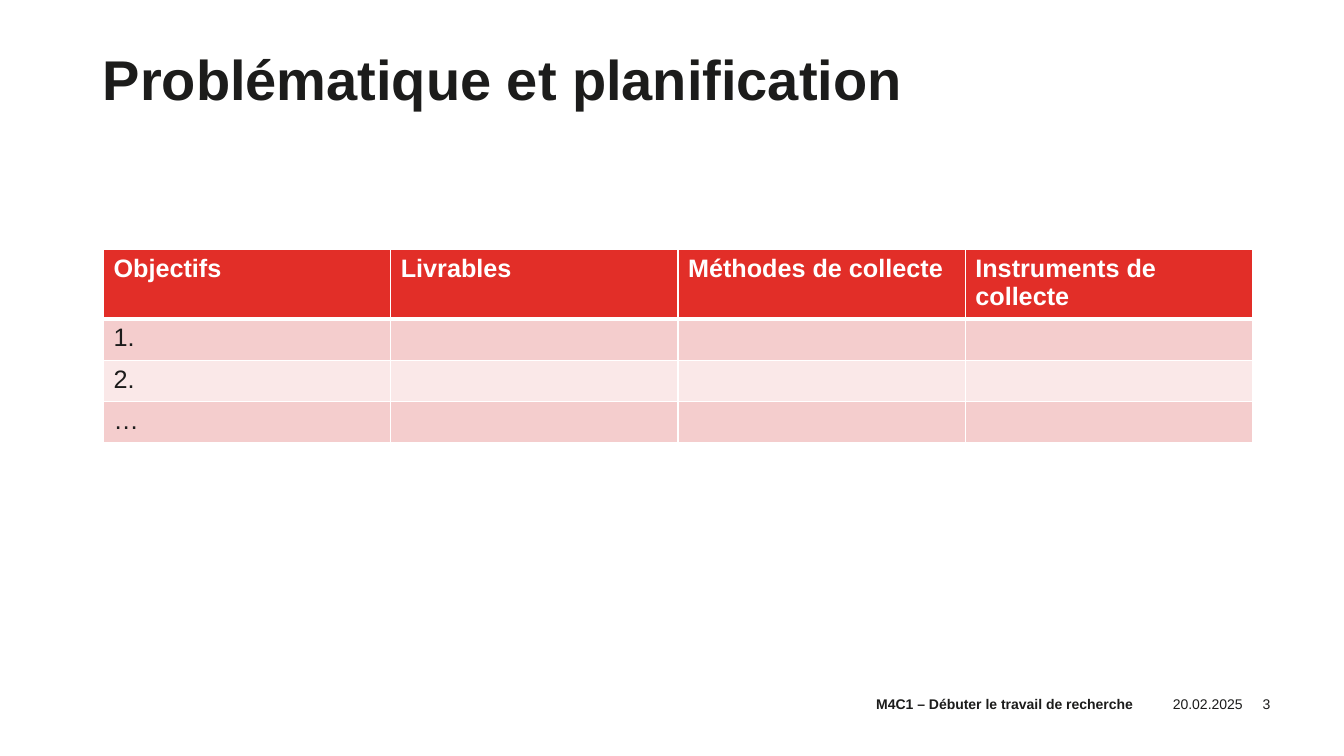
from lxml import etree
from pptx import Presentation
from pptx import util as u
from pptx.dml.color import RGBColor
from pptx.enum import text
from pptx.oxml.ns import qn

WIDTH, HEIGHT = 13.33, 7.5
FONT = "Arial"
COLORS = {"ink": "1C1C1B", "white": "FFFFFF", "header": "E22E28",
          "band_dark": "F4CDCD", "band_light": "FAE8E8"}
PLAN = [["Objectifs", "Livrables", "Méthodes de collecte", "Instruments de collecte"],
        ["1.", "", "", ""],
        ["2.", "", "", ""],
        ["…", "", "", ""]]
HEADER_HEIGHT, ROW_HEIGHT = 0.69, 0.41


def rgb(name):
    return RGBColor.from_string(COLORS[name])


def set_font(font, size, color="ink", bold=False):
    for attribute, value in {"name": FONT, "size": u.Pt(size), "bold": bold}.items():
        setattr(font, attribute, value)
    font.color.rgb = rgb(color)


def place(shape, box):
    for side, length in zip(("left", "top", "width", "height"), box):
        setattr(shape, side, u.Inches(length))


def write_line(frame, words, size, bold, anchor, align):
    frame.word_wrap = True
    frame.auto_size = text.MSO_AUTO_SIZE.NONE
    frame.vertical_anchor = anchor
    line = frame.paragraphs[0]
    for attribute, value in {"text": words, "alignment": align, "line_spacing": 0.9}.items():
        setattr(line, attribute, value)
    set_font(line.runs[0].font, size, bold=bold)


def border_cell(cell, bottom_width):
    properties = cell._tc.get_or_add_tcPr()
    widths = {"lnL": 1, "lnR": 1, "lnT": 1, "lnB": bottom_width}
    for position, (side, width) in enumerate(widths.items()):
        edge = etree.Element(qn("a:" + side), w=str(u.Pt(width)))
        fill = etree.SubElement(edge, qn("a:solidFill"))
        etree.SubElement(fill, qn("a:srgbClr"), val=COLORS["white"])
        properties.insert(position, edge)


# Heading
def add_heading(slide, box, words):
    heading = slide.shapes.title
    place(heading, box)
    write_line(heading.text_frame, words, 40, True,
               text.MSO_ANCHOR.BOTTOM, text.PP_ALIGN.LEFT)


# Planning table: one header row, then banded rows
def add_plan(slide, box):
    left, top, width, height = (u.Inches(length) for length in box)
    plan = slide.shapes.add_table(len(PLAN), len(PLAN[0]), left, top, width, height).table
    for column in plan.columns:
        column.width = width // len(PLAN[0])
    for r, entries in enumerate(PLAN):
        is_header = r == 0
        plan.rows[r].height = u.Inches(HEADER_HEIGHT if is_header else ROW_HEIGHT)
        band = "header" if is_header else ("band_light", "band_dark")[r % 2]
        for c, entry in enumerate(entries):
            cell = plan.cell(r, c)
            cell.text = entry
            set_font(cell.text_frame.paragraphs[0].font, 18,
                     "white" if is_header else "ink", is_header)
            cell.fill.solid()
            cell.fill.fore_color.rgb = rgb(band)
            border_cell(cell, 3 if is_header else 1)


# Footer: course name, date and page number side by side
def add_footer(slide, box):
    left, top, width, height = box
    right, start = text.PP_ALIGN.RIGHT, text.PP_ALIGN.LEFT
    parts = [("M4C1 – Débuter le travail de recherche", 0, 0.646, True, right),
             ("20.02.2025", 0.666, 0.198, False, right),
             ("3", 0.864, 0.136, False, start)]
    for words, offset, share, bold, align in parts:
        part = slide.shapes.add_textbox(0, 0, 0, 0)
        place(part, (left + offset * width, top, share * width, height))
        write_line(part.text_frame, words, 10, bold, text.MSO_ANCHOR.MIDDLE, align)


def main():
    deck = Presentation()
    deck.slide_width, deck.slide_height = u.Inches(WIDTH), u.Inches(HEIGHT)
    slide = deck.slides.add_slide(deck.slide_layouts[5])
    margin, content_right = 0.069 * WIDTH, 0.932 * WIDTH
    table_left = 0.077 * WIDTH
    add_footer(slide, (0.608 * WIDTH, 0.914 * HEIGHT, 0.375 * WIDTH, 0.036 * HEIGHT))
    add_plan(slide, (table_left, 0.33 * HEIGHT, content_right - table_left,
                     HEADER_HEIGHT + ROW_HEIGHT * (len(PLAN) - 1)))
    add_heading(slide, (margin, 0.061 * HEIGHT, content_right - margin, 0.095 * HEIGHT),
                "Problématique et planification")
    deck.save("out.pptx")


if __name__ == "__main__":
    main()
